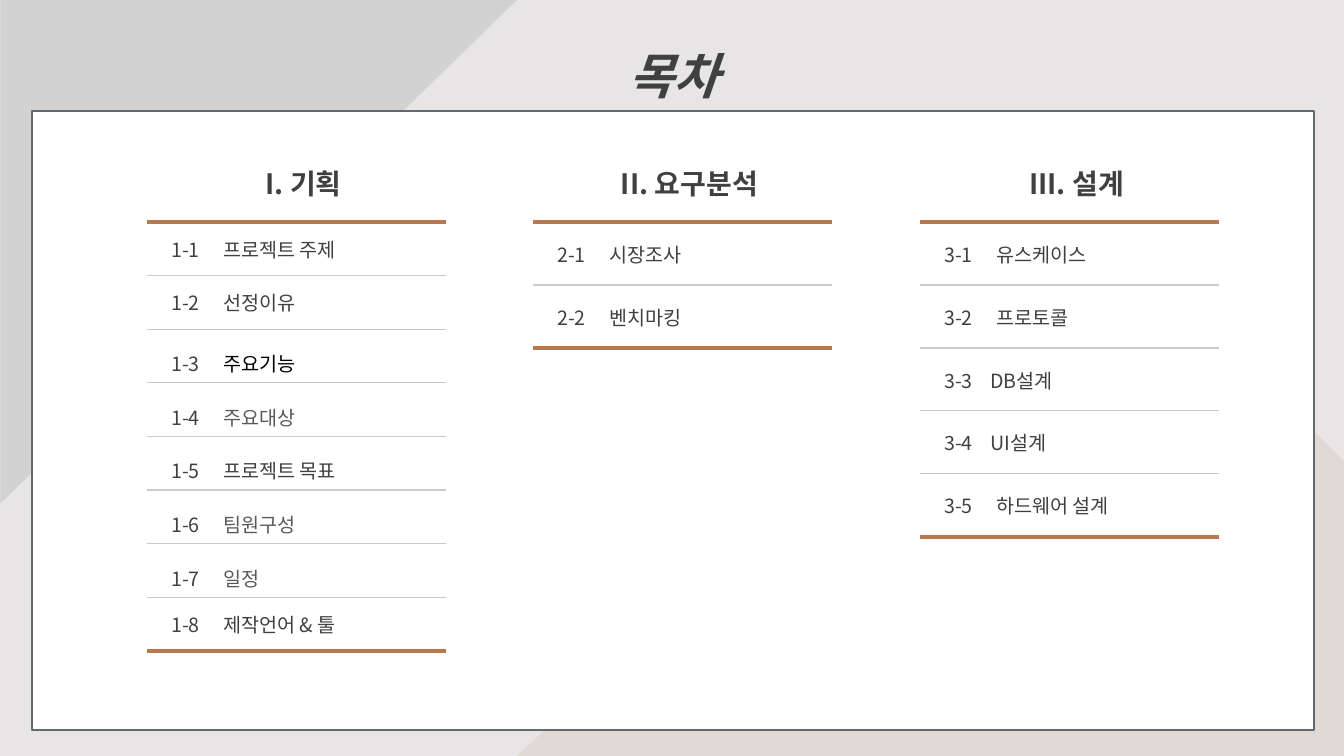
from lxml import etree
from pptx import Presentation
from pptx import util as u
from pptx.dml.color import RGBColor
from pptx.enum import shapes, text
from pptx.oxml import ns

BACKDROP = RGBColor(0xE7, 0xE5, 0xE6)
SAND = RGBColor(0xE1, 0xDA, 0xD4)
SILVER = RGBColor(0xD2, 0xD2, 0xD2)
WHITE = RGBColor(0xFF, 0xFF, 0xFF)
FRAME = RGBColor(0x64, 0x69, 0x6D)
INK = RGBColor(0x40, 0x40, 0x40)
SOFT_INK = RGBColor(0x59, 0x59, 0x59)
BLACK = RGBColor(0, 0, 0)
COPPER = RGBColor(0xB8, 0x78, 0x50)
RULE = RGBColor(0xCA, 0xCA, 0xCA)

FONT = "Noto Sans CJK KR"
PX = 914400 / 100.8

TITLE_FORMAT = {"size": u.Pt(35), "bold": True, "italic": True}
HEADING_FORMAT = {"size": u.Pt(20), "bold": True}
ENTRY_FORMAT = {"size": u.Pt(14), "bold": False}
CELL_FORMAT = {
    "vertical_anchor": text.MSO_ANCHOR.MIDDLE,
    "margin_left": u.Inches(0.24),
    "margin_right": u.Inches(0.1),
    "margin_top": u.Inches(0.05),
    "margin_bottom": u.Inches(0.05),
}

# Chapters: left, height of all entries, height of the closing row, heading,
# and entries as (title, title colour, line spacing, tab position)
CHAPTERS = [
    (147, 429, 46, "I. 기획", [
        ("프로젝트 주제", INK, 1, 52),
        ("선정이유", INK, 1, 52),
        ("주요기능", BLACK, 1.5, 52),
        ("주요대상", SOFT_INK, 1.5, 52),
        ("프로젝트 목표", INK, 1.5, 52),
        ("팀원구성", SOFT_INK, 1.5, 52),
        ("일정", SOFT_INK, 1.5, 52),
        ("제작언어 & 툴", INK, 1, 52),
    ]),
    (533, 126, 62, "II. 요구분석", [
        ("시장조사", INK, 1, 52),
        ("벤치마킹", INK, 1, 52),
    ]),
    (920, 315, 62, "III. 설계", [
        ("유스케이스", INK, 1, 52),
        ("프로토콜", INK, 1, 52),
        ("DB설계", INK, 1, 46),
        ("UI설계", INK, 1, 46),
        ("하드웨어 설계", INK, 1, 52),
    ]),
]


def px(length):
    return u.Emu(round(length * PX))


def apply(target, values):
    for name, value in values.items():
        setattr(target, name, value)


def add_run(paragraph, words, color, values):
    run = paragraph.add_run()
    run.text = words
    apply(run.font, {"name": FONT, **values})
    run.font.color.rgb = color
    etree.SubElement(run.font._element, ns.qn("a:ea"), typeface=FONT)


def paint(shape, fill, line=None):
    shape.shadow.inherit = False
    shape.fill.solid()
    shape.fill.fore_color.rgb = fill
    if line is None:
        shape.line.fill.background()
    else:
        shape.line.color.rgb = line
        shape.line.width = u.Pt(1)


def add_block(slide, preset, box, fill, line=None):
    block = slide.shapes.add_shape(preset, *map(px, box))
    paint(block, fill, line)
    return block


def add_outline(slide, points, fill):
    builder = slide.shapes.build_freeform(*points[0], scale=PX)
    builder.add_line_segments(points[1:], close=True)
    paint(builder.convert_to_shape(), fill)


def add_title(slide, words, box):
    title = slide.shapes.add_textbox(*map(px, box))
    apply(title.text_frame, {
        "word_wrap": True,
        "auto_size": text.MSO_AUTO_SIZE.SHAPE_TO_FIT_TEXT,
    })
    paragraph = title.text_frame.paragraphs[0]
    apply(paragraph, {"alignment": text.PP_ALIGN.CENTER, "line_spacing": 1.5})
    add_run(paragraph, words, INK, TITLE_FORMAT)


def set_tab(paragraph, position):
    tabs = etree.SubElement(paragraph._p.get_or_add_pPr(), ns.qn("a:tabLst"))
    etree.SubElement(tabs, ns.qn("a:tab"), pos=str(px(position)), algn="l")


def set_border(cell, side, rule):
    """Draw a (colour, points) rule on one side, or none at all."""
    color, points = rule or (None, 0)
    line = etree.SubElement(cell._tc.get_or_add_tcPr(), ns.qn("a:ln" + side),
                            w=str(u.Pt(points)))
    if color is None:
        etree.SubElement(line, ns.qn("a:noFill"))
    else:
        fill = etree.SubElement(line, ns.qn("a:solidFill"))
        etree.SubElement(fill, ns.qn("a:srgbClr"), val=str(color))


def add_chapter(slide, number, left, span, closing, heading, entries):
    heights = [79] + [span / len(entries)] * len(entries) + [closing]
    frame = slide.shapes.add_table(len(heights), 1, px(left), px(143),
                                   px(299), px(sum(heights)))
    chapter = frame.table
    apply(chapter, {"first_row": False, "horz_banding": False})

    # Thick rules around the entries, thin ones between them
    thick, thin = (COPPER, 3), (RULE, 1)
    rules = [None, thick] + [thin] * (len(entries) - 1) + [thick, None]
    for index, height in enumerate(heights):
        chapter.rows[index].height = px(height)
        cell = chapter.cell(index, 0)
        apply(cell, CELL_FORMAT)
        for side, rule in zip("LRTB", (None, None, *rules[index:index + 2])):
            set_border(cell, side, rule)
        cell.fill.background()

    # Heading and entries
    top = chapter.cell(0, 0).text_frame.paragraphs[0]
    top.alignment = text.PP_ALIGN.CENTER
    add_run(top, heading, INK, HEADING_FORMAT)
    for index, (title, color, spacing, tab) in enumerate(entries, 1):
        entry = chapter.cell(index, 0).text_frame.paragraphs[0]
        entry.line_spacing = spacing
        set_tab(entry, tab)
        add_run(entry, f"{number}-{index}\t", INK, ENTRY_FORMAT)
        add_run(entry, title, color, ENTRY_FORMAT)


def main():
    deck = Presentation()
    apply(deck, {"slide_width": px(1344), "slide_height": px(756)})
    slide = deck.slides.add_slide(deck.slide_layouts[6])

    # Backdrop
    slide.background.fill.solid()
    slide.background.fill.fore_color.rgb = BACKDROP
    add_outline(slide, [(1052, 256), (1139, 256), (1344, 461),
                        (1344, 756), (517, 756)], SAND)
    corner = add_block(slide, shapes.MSO_SHAPE.RIGHT_TRIANGLE,
                       (7, -7, 504, 517), SILVER)
    corner.rotation = 90

    # Card and title
    add_block(slide, shapes.MSO_SHAPE.RECTANGLE, (32, 111, 1282, 619),
              WHITE, FRAME)
    add_title(slide, "목차", (338, 11, 672, 88))

    # Contents
    for number, chapter in enumerate(CHAPTERS, 1):
        add_chapter(slide, number, *chapter)

    deck.save("out.pptx")


if __name__ == "__main__":
    main()
